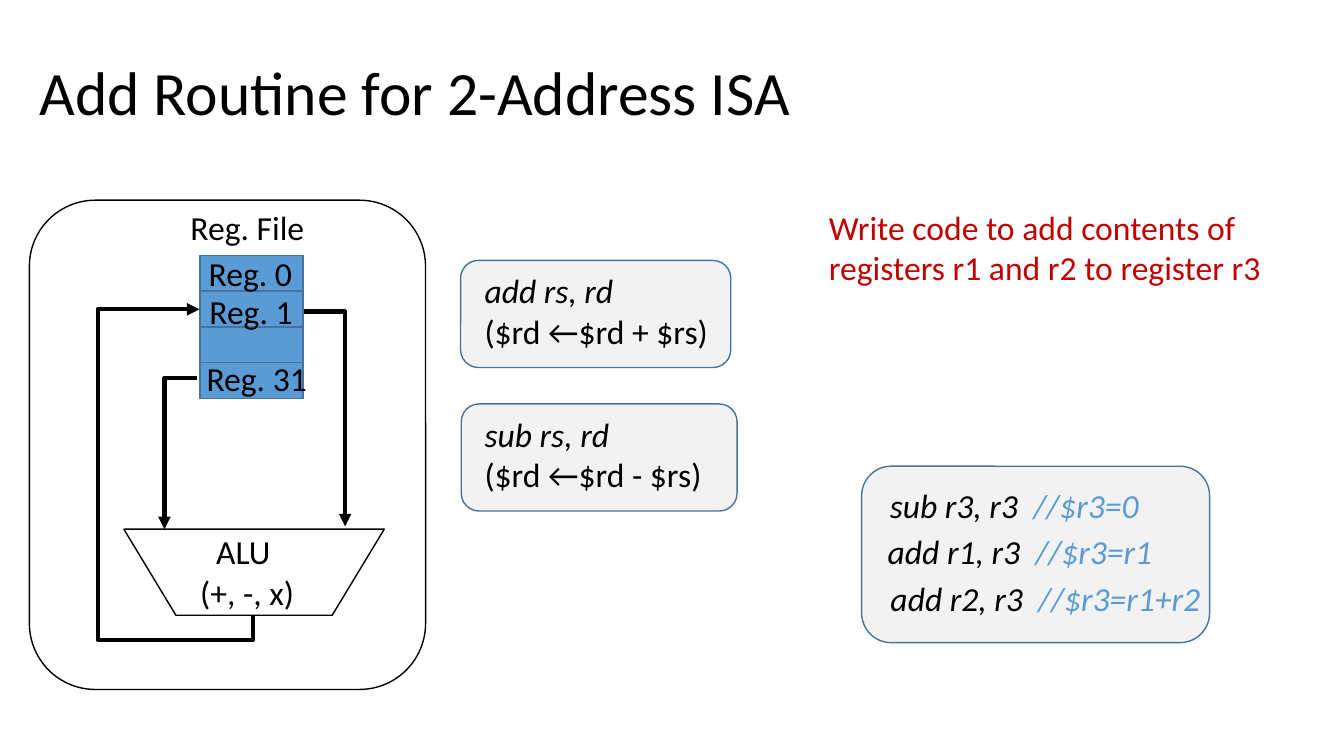
import pptx
import pptx.dml.color
import pptx.enum.shapes
import pptx.enum.text
import pptx.oxml
import pptx.oxml.ns
import pptx.util

Pt = pptx.util.Pt
SHAPE = pptx.enum.shapes.MSO_SHAPE
ALIGN = pptx.enum.text.PP_ALIGN
BLACK, RED, BLUE, EDGE, GREY = "000000", "C00000", "5B9BD5", "43739E", "F2F2F2"
LINE, PAIR = 36, 65.5  # heights of boxes with one and two lines

TITLE = "Add Routine for 2-Address ISA"
TASK = "Write code to add contents of registers r1 and r2 to register r3"
# text, left, top, width
LABELS = [
    ("Reg. File", 129, 144, 96.5),
    ("Reg. 0", 142, 177, 74),
    ("Reg. 1", 142.5, 204.5, 74),
    ("Reg. 31", 140.5, 252, 86.5),
]
# instruction, meaning, card left, card top, card width, text width
CARDS = [
    ("add rs, rd", "($rd ←$rd + $rs)", 329, 186, 193, 175.5),
    ("sub rs, rd", "($rd ←$rd - $rs)", 329.5, 288.5, 197, 170.5),
]
# instruction, remark, left, width, height
CODE = [
    ("sub r3, r3  ", "//$r3=0", 628.5, 193.5, LINE),
    ("add r1, r3  ", "//$r3=r1", 627, 205, PAIR),
    ("add r2, r3  ", "//$r3=r1+r2", 629, 237.5, PAIR),
]
REGS = dict(left=142.8, top=182.5, width=73.6, height=25.5, count=4)
# start, end, bend preset, adjustments, arrow end
WIRES = [
    ((140.5, 270), (117.5, 378), "bentConnector2", (), "tailEnd"),
    ((217.5, 222.5), (246.5, 376), "bentConnector2", (), "tailEnd"),
    ((142.5, 221), (181, 439.5), "bentConnector4", (-1.89, 1.08), "headEnd"),
]

deck = pptx.Presentation()
deck.slide_width, deck.slide_height = Pt(960), Pt(540)
slide = deck.slides.add_slide(deck.slide_layouts[5])


def rgb(code):
    return pptx.dml.color.RGBColor.from_string(code)


def write(frame, *lines, size=24, color=BLACK, italic=False, align=ALIGN.LEFT, space=None):
    """Fill a frame; a line is a string or a list of (text, overrides)."""
    for i, line in enumerate(lines):
        para = frame.add_paragraph() if i else frame.paragraphs[0]
        para.alignment = align
        para.line_spacing = space
        for text, style in [(line, {})] if isinstance(line, str) else line:
            run = para.add_run()
            run.text = text
            run.font.name = "Calibri"
            run.font.size = Pt(size)
            run.font.italic = style.get("italic", italic)
            run.font.color.rgb = rgb(style.get("color", color))


def label(box, *lines, wrap=False, **style):
    frame = slide.shapes.add_textbox(*map(Pt, box)).text_frame
    frame.word_wrap = wrap
    frame.auto_size = pptx.enum.text.MSO_AUTO_SIZE.SHAPE_TO_FIT_TEXT
    write(frame, *lines, **style)


def block(kind, box, fill=None, edge=EDGE):
    shape = slide.shapes.add_shape(kind, *map(Pt, box))
    shape.shadow.inherit = False
    if fill:
        shape.fill.solid()
        shape.fill.fore_color.rgb = rgb(fill)
    else:
        shape.fill.background()
    shape.line.color.rgb = rgb(edge)
    shape.line.width = Pt(1)


def wire(start, end, bend, adjust, tip):
    kind = pptx.enum.shapes.MSO_CONNECTOR.ELBOW
    link = slide.shapes.add_connector(kind, *map(Pt, start + end))
    link.line.color.rgb = rgb(BLACK)
    link.line.width = Pt(3)
    props = link._element.spPr
    qn, sub = pptx.oxml.ns.qn, pptx.oxml.ns.nsdecls("a")
    shape = props.find(qn("a:prstGeom"))
    shape.set("prst", bend)
    guides = "".join(
        f'<a:gd name="adj{i}" fmla="val {round(part * 100000)}"/>'
        for i, part in enumerate(adjust, 1))
    for old in list(shape):
        shape.remove(old)
    shape.append(pptx.oxml.parse_xml(f"<a:avLst {sub}>{guides}</a:avLst>"))
    props.find(qn("a:ln")).append(pptx.oxml.parse_xml(f'<a:{tip} {sub} type="triangle"/>'))
    props.append(pptx.oxml.parse_xml(f"<a:effectLst {sub}/>"))


title = slide.shapes.title
title.left, title.top, title.width, title.height = map(Pt, (21, 16, 828, 104.5))
title.text_frame.vertical_anchor = pptx.enum.text.MSO_ANCHOR.MIDDLE
write(title.text_frame, TITLE, size=44, space=0.9)

for i in range(REGS["count"]):
    top = REGS["top"] + i * REGS["height"]
    block(SHAPE.RECTANGLE, (REGS["left"], top, REGS["width"], REGS["height"]), BLUE)
for text, left, top, width in LABELS:
    label((left, top, width, LINE), text)

block(SHAPE.FLOWCHART_MANUAL_OPERATION, (88.5, 378, 186, 61.5), edge=BLACK)
label((135.5, 376, 82, PAIR), "ALU ", "(+, -, x)", align=ALIGN.CENTER)
for item in WIRES:
    wire(*item)
block(SHAPE.ROUNDED_RECTANGLE, (21, 143, 283, 349.5), edge=BLACK)

for name, sense, left, top, width, span in CARDS:
    block(SHAPE.ROUNDED_RECTANGLE, (left, top, width, 76.5), GREY)
    label((339, top + 3.5, span, PAIR), [(name, {"italic": True})], sense)

block(SHAPE.ROUNDED_RECTANGLE, (615.5, 333, 248.5, 126), GREY)
for i, (code, remark, left, width, height) in enumerate(CODE):
    label((left, 343 + 33 * i, width, height),
          [(code, {}), (remark, {"color": BLUE})], italic=True)
label((585, 144, 348, PAIR), TASK, wrap=True, color=RED)

deck.save("out.pptx")
